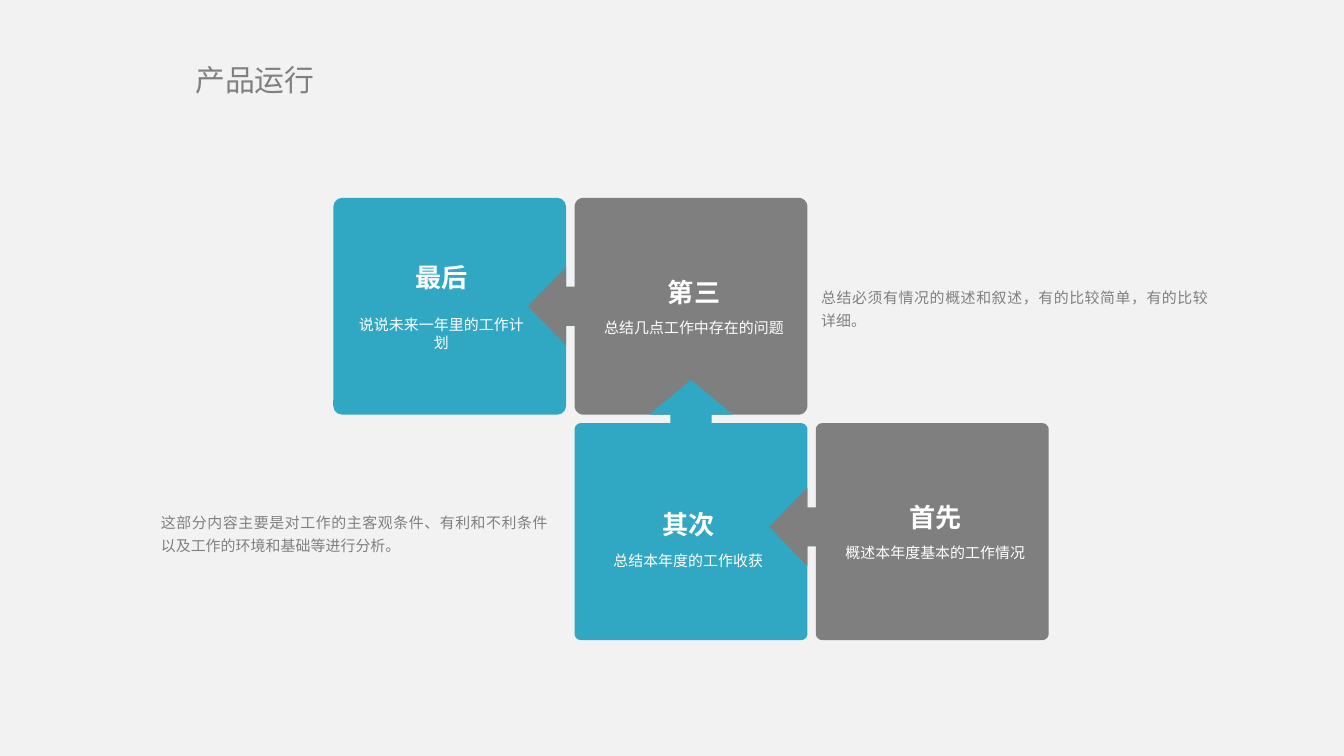
from dataclasses import dataclass
from math import cos, pi, sin

from lxml import etree
from pptx import Presentation
from pptx.dml.color import RGBColor
from pptx.enum.shapes import MSO_SHAPE
from pptx.enum.text import MSO_ANCHOR, MSO_AUTO_SIZE, PP_ALIGN
from pptx.oxml.ns import qn
from pptx.util import Cm, Pt

ROUND_RECT = MSO_SHAPE.ROUNDED_RECTANGLE
MIDDLE = MSO_ANCHOR.MIDDLE
NO_FIT = MSO_AUTO_SIZE.NONE
LEFT, CENTER, JUSTIFY = PP_ALIGN.LEFT, PP_ALIGN.CENTER, PP_ALIGN.JUSTIFY


@dataclass(frozen=True)
class Theme:
    font: str = "Noto Sans CJK SC"
    back: RGBColor = RGBColor(0xF2, 0xF2, 0xF2)
    teal: RGBColor = RGBColor(0x30, 0xA8, 0xC4)
    gray: RGBColor = RGBColor(0x7F, 0x7F, 0x7F)
    text: RGBColor = RGBColor(0x80, 0x80, 0x80)
    white: RGBColor = RGBColor(0xFF, 0xFF, 0xFF)
    title: Pt = Pt(16)
    head: Pt = Pt(14)
    body: Pt = Pt(8)


THEME = Theme()

# Tile grid, in cm
TILE_W, TILE_H, GAP = 4.4, 4.1, 0.16
GRID_X, GRID_Y = 6.3, 3.74


def set_all(obj, values):
    for name, value in values.items():
        setattr(obj, name, value)


def format_frame(tf, insets):
    left, top, right, bottom = (Cm(v) for v in insets)
    set_all(tf, dict(auto_size=NO_FIT, word_wrap=True, vertical_anchor=MIDDLE,
                     margin_left=left, margin_top=top,
                     margin_right=right, margin_bottom=bottom))


def write(p, text, size, color, bold=False, **layout):
    set_all(p, layout)
    r = p.add_run()
    r.text = text
    set_all(r.font, dict(name=THEME.font, size=size, bold=bold))
    r.font.color.rgb = color
    ea = etree.SubElement(r._r.get_or_add_rPr(), qn("a:ea"))
    ea.set("typeface", THEME.font)


def add_title(s, box, text):
    sp = s.shapes.title
    set_all(sp, dict(zip(("left", "top", "width", "height"), map(Cm, box))))
    format_frame(sp.text_frame, (0.19, 0.1, 0.19, 0.1))
    write(sp.text_frame.paragraphs[0], text, THEME.title, THEME.text,
          alignment=LEFT)


def add_note(s, box, text):
    tf = s.shapes.add_textbox(*map(Cm, box)).text_frame
    format_frame(tf, (0.25, 0.13, 0.25, 0.13))
    write(tf.paragraphs[0], text, THEME.body, THEME.text,
          alignment=JUSTIFY, line_spacing=1.3)


def arrow_points(side, stem, head, length, shift=0):
    """Arrow that leaves one side of a tile, crosses the gap and points on."""
    tip = GAP + length
    points = [(-stem, 0), (-stem, GAP), (-head, GAP), (0, tip),
              (head, GAP), (stem, GAP), (stem, 0)]
    if side == "left":
        return [(-out, TILE_H / 2 + shift - along) for along, out in points]
    return [(TILE_W / 2 + shift + along, -out) for along, out in points]


def corner(cx, cy, radius, start, steps=8):
    angles = [start + pi / 2 * i / steps for i in range(steps + 1)]
    return [(cx + radius * cos(a), cy + radius * sin(a)) for a in angles]


def add_arrow_tile(s, box, radius, arrow):
    """Rounded tile and its arrow as one clockwise outline."""
    x, y, w, h = box
    side = arrow["side"]
    tip = arrow_points(**arrow)
    points = corner(radius, radius, radius, pi)
    points += tip if side == "top" else []
    points += corner(w - radius, radius, radius, 1.5 * pi)
    points += corner(w - radius, h - radius, radius, 0)
    points += corner(radius, h - radius, radius, pi / 2)
    points += tip if side == "left" else []
    outline = [(Cm(x + px), Cm(y + py)) for px, py in points]
    builder = s.shapes.build_freeform(*outline[0])
    builder.add_line_segments(outline[1:], close=True)
    return builder.convert_to_shape()


def add_tile(s, box, color, head, body, insets, radius, arrow=None, space=6):
    if arrow:
        sp = add_arrow_tile(s, box, radius, arrow)
    else:
        sp = s.shapes.add_shape(ROUND_RECT, *map(Cm, box))
        sp.adjustments[0] = radius / min(box[2:])
    sp.shadow.inherit = False
    sp.fill.solid()
    sp.fill.fore_color.rgb = color
    sp.line.fill.background()
    tf = sp.text_frame
    format_frame(tf, insets)
    write(tf.paragraphs[0], head, THEME.head, THEME.white, True,
          alignment=CENTER)
    write(tf.add_paragraph(), body, THEME.body, THEME.white,
          alignment=CENTER, space_before=Pt(space))


def cell(col, row):
    return (GRID_X + col * (TILE_W + GAP), GRID_Y + row * (TILE_H + GAP),
            TILE_W, TILE_H)


def main():
    prs = Presentation()
    prs.slide_width, prs.slide_height = Cm(25.4), Cm(14.29)
    s = prs.slides.add_slide(prs.slide_layouts[5])
    s.background.fill.solid()
    s.background.fill.fore_color.rgb = THEME.back

    add_title(s, (3.5, 1.07, 4.98, 0.86), "产品运行")

    # Steps, from the last back to the first
    left_arrow = dict(side="left", stem=0.37, head=0.74, length=0.72)
    up_arrow = dict(side="top", stem=0.39, head=0.79, length=0.66)
    add_tile(s, cell(0, 0), THEME.teal, "最后", "说说未来一年里的工作计划",
             (0.3, 0, 0.61, 0), 0.17, space=12)
    add_tile(s, cell(1, 0), THEME.gray, "第三", "总结几点工作中存在的问题",
             (1.3, 0.61, 0.3, 0.61), 0.17, left_arrow)
    add_tile(s, cell(1, 1), THEME.teal, "其次", "总结本年度的工作收获",
             (0.51, 1.09, 0.61, 0), 0.12, up_arrow)
    add_tile(s, cell(2, 1), THEME.gray, "首先", "概述本年度基本的工作情况",
             (1.3, 0, 0.3, 0), 0.12, dict(left_arrow, shift=-0.09))

    # Notes beside the rows
    note_w = 7.82
    add_note(s, (15.27, cell(0, 0)[1], note_w, TILE_H),
             "总结必须有情况的概述和叙述，有的比较简单，有的比较详细。")
    add_note(s, (2.79, cell(0, 1)[1], note_w, TILE_H),
             "这部分内容主要是对工作的主客观条件、有利和不利条件以及工作的环境和基础等进行分析。")

    prs.save("out.pptx")


if __name__ == "__main__":
    main()
